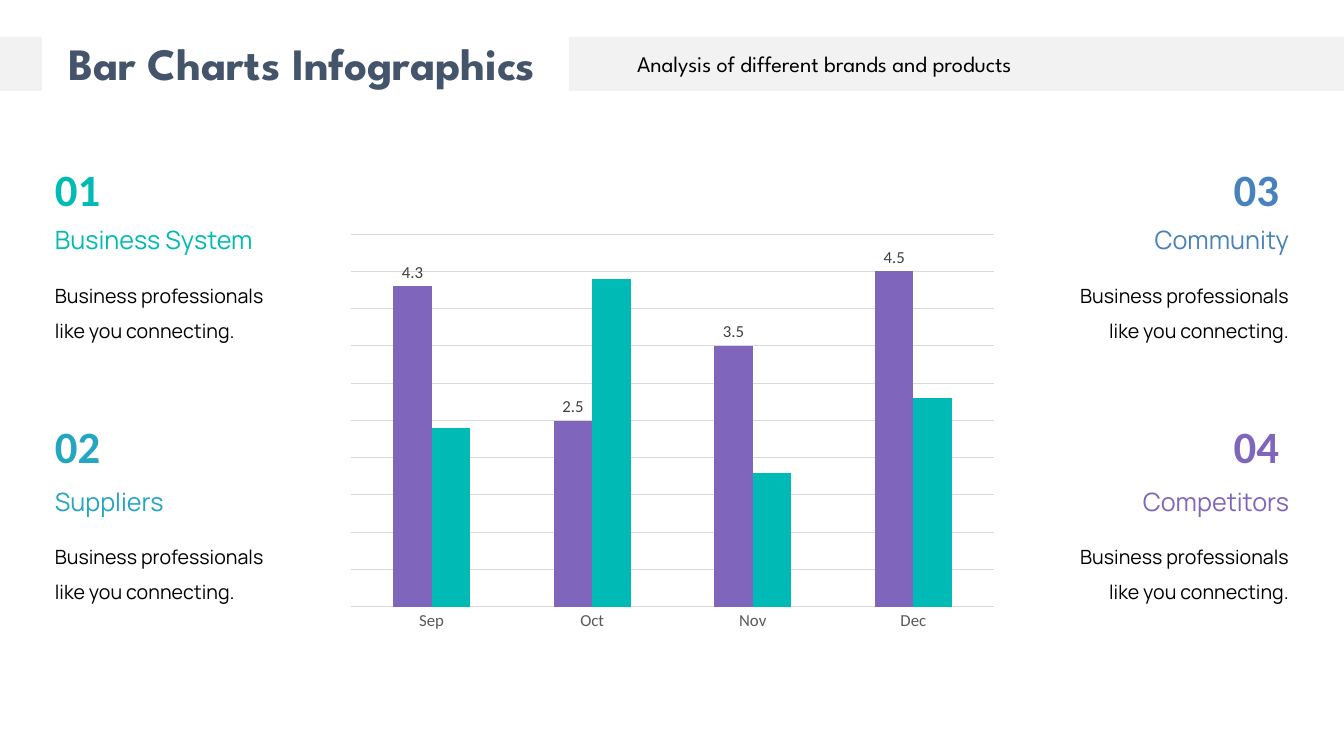
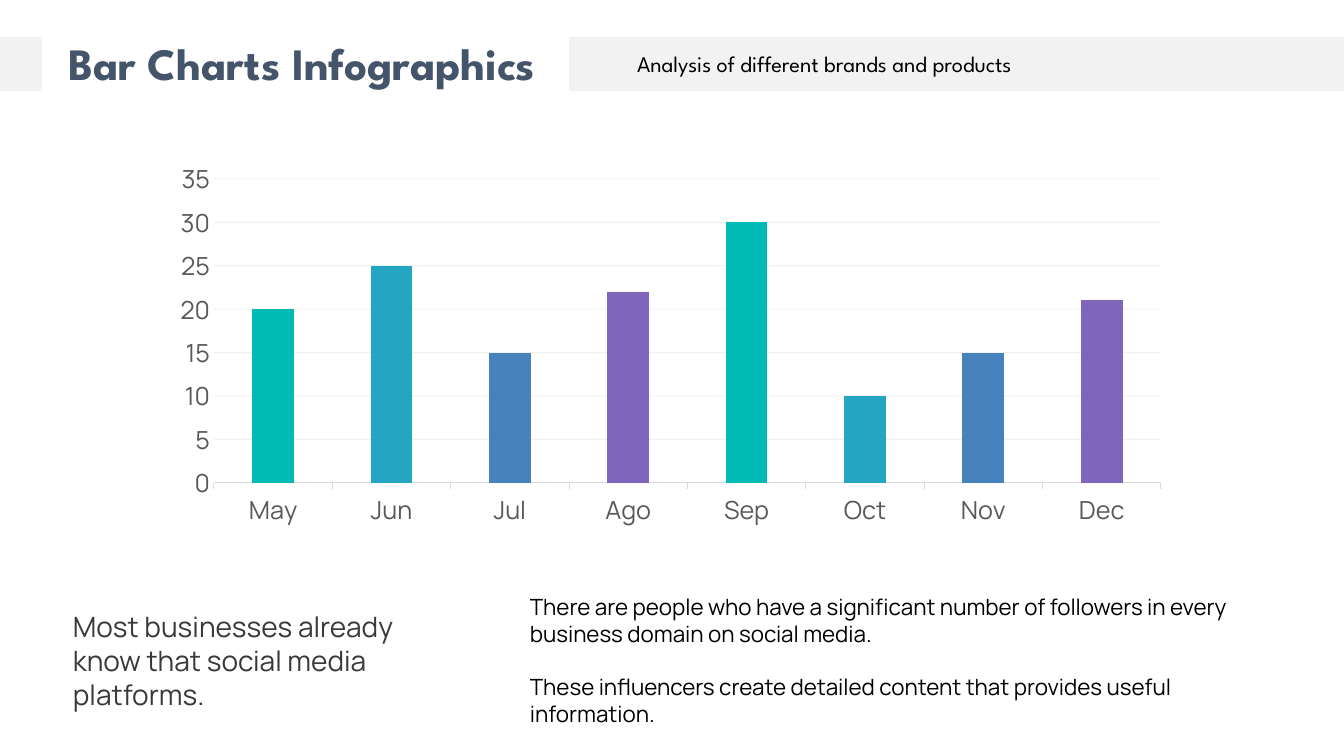
"""Build two bar chart infographic slides."""
from lxml import etree
from pptx import Presentation
from pptx.chart.data import CategoryChartData
from pptx.dml.color import RGBColor
from pptx.enum.chart import XL_CHART_TYPE as CT, XL_LABEL_POSITION as LP, XL_TICK_MARK as TICK
from pptx.enum.shapes import MSO_SHAPE as SHAPE
from pptx.enum.text import MSO_AUTO_SIZE as FIT, PP_ALIGN as AL
from pptx.oxml.ns import qn
from pptx.util import Emu, Pt

PX = 914400 / 100.8
WIDTH, HEIGHT = 1344, 756

TEAL, CYAN, BLUE, PURPLE = "00BAB5", "24A5C1", "4782BD", "7F65BB"
BLACK, BAND, NAVY, CHARCOAL = "000000", "F2F2F2", "44546A", "3B3838"
AXIS_TEXT, AXIS_LINE, LABEL_TEXT = "595959", "D9D9D9", "404040"
SPARTAN, MANROPE, CALIBRI = "League Spartan", "Manrope", "Calibri"

TITLE = "Bar Charts Infographics"
SUBTITLE = "Analysis of different brands and products"
BANDS = [(569, 37, 775, 54), (0, 37, 42, 54)]

CARD_BODY = "Business professionals like you connecting."
CARDS = [
    ("01", "Business System", TEAL),
    ("02", "Suppliers", CYAN),
    ("03", "Community", BLUE),
    ("04", "Competitors", PURPLE),
]
CARD_COLUMNS = [(45, 45, AL.LEFT), (1054, 1209, AL.RIGHT)]
CARD_ROWS = [(157, 219, 267), (414, 481, 528)]
CARD_WIDTH, NUMBER_WIDTH = 245, 80

PAIRED = {
    "box": (338, 226, 669, 413),
    "cats": ["Sep", "Oct", "Nov", "Dec"],
    "series": [("Series 1", [4.3, 2.5, 3.5, 4.5], PURPLE),
               ("Series 2", [2.4, 4.4, 1.8, 2.8], TEAL)],
    "gap": 219, "overlap": 0, "top": 5, "step": 0.5,
    "font": CALIBRI, "size": 12, "tick": TICK.NONE, "grid": AXIS_LINE,
}
MONTHLY = {
    "box": (171, 147, 1000, 380),
    "cats": ["May", "Jun", "Jul", "Ago", "Sep", "Oct", "Nov", "Dec"],
    "series": [("Series 1", [20, 25, 15, 22, 30, 10, 15, 21], "4472C4")],
    "gap": 184, "overlap": -100, "top": 35, "step": 5,
    "font": MANROPE, "size": 18, "tick": TICK.OUTSIDE, "grid": BLACK,
}
MONTHLY_PLOT = {"x": 0.043, "y": 0.085, "w": 0.947, "h": 0.807}
POINT_COLORS = [TEAL, CYAN, BLUE, PURPLE]
GRID_ALPHA = 5

LEAD = "Most businesses already know that social media platforms."
DETAILS = [
    "There are people who have a significant number of followers in every "
    "business domain on social media.",
    "These influencers create detailed content that provides useful information.",
]


def rgb(value):
    return RGBColor.from_string(value)


def emu(box):
    return [Emu(round(n * PX)) for n in box]


def set_fill(target, color):
    target.fill.solid()
    target.fill.fore_color.rgb = rgb(color)


def set_line(line, color):
    line.color.rgb = rgb(color)
    line.width = Pt(0.75)


def set_font(font, name, size, color, bold=False):
    font.name, font.size, font.bold = name, Pt(size), bold
    font.color.rgb = rgb(color)


def add_text(s, box, lines, name, size, color, bold=False, align=AL.LEFT,
             spacing=None, gap=0):
    tf = s.shapes.add_textbox(*emu(box)).text_frame
    tf.word_wrap = True
    tf.auto_size = FIT.SHAPE_TO_FIT_TEXT
    for i, line in enumerate(lines):
        p = tf.add_paragraph() if i else tf.paragraphs[0]
        p.text = line
        p.alignment = align
        if spacing:
            p.line_spacing = spacing
        if i and gap:
            p.space_before = Pt(gap)
        for r in p.runs:
            set_font(r.font, name, size, color, bold)


def add_slide(prs):
    s = prs.slides.add_slide(prs.slide_layouts[6])
    for box in BANDS:
        sp = s.shapes.add_shape(SHAPE.RECTANGLE, *emu(box))
        sp.shadow.inherit = False
        set_fill(sp, BAND)
        sp.line.fill.background()
    add_text(s, (24, 31, 556, 64), [TITLE], SPARTAN, 32, NAVY, True, AL.CENTER)
    add_text(s, (581, 45, 487, 37), [SUBTITLE], SPARTAN, 16, BLACK, align=AL.CENTER)
    return s


def add_columns(s, info):
    data = CategoryChartData()
    data.categories = info["cats"]
    for name, values, _ in info["series"]:
        data.add_series(name, values)
    chart = s.shapes.add_chart(CT.COLUMN_CLUSTERED, *emu(info["box"]), data).chart
    chart.has_title = chart.has_legend = False
    set_font(chart.font, info["font"], info["size"], BLACK)
    plot = chart.plots[0]
    plot.vary_by_categories = False
    plot.gap_width, plot.overlap = info["gap"], info["overlap"]
    for series, (_, _, color) in zip(plot.series, info["series"]):
        set_fill(series.format, color)

    cat, val = chart.category_axis, chart.value_axis
    for axis in (cat, val):
        set_font(axis.tick_labels.font, info["font"], info["size"], AXIS_TEXT)
        axis.minor_tick_mark = TICK.NONE
    cat.major_tick_mark, val.major_tick_mark = info["tick"], TICK.NONE
    set_line(cat.format.line, AXIS_LINE)
    val.format.line.fill.background()
    val.minimum_scale, val.maximum_scale = 0, info["top"]
    val.major_unit = info["step"]
    val.has_major_gridlines = True
    set_line(val.major_gridlines.format.line, info["grid"])
    return chart


def fade_gridlines(chart, percent):
    grid = chart._chartSpace.find(".//" + qn("c:majorGridlines"))
    color = grid.find(".//" + qn("a:srgbClr"))
    etree.SubElement(color, qn("a:alpha")).set("val", str(percent * 1000))


def place_plot(chart, fractions):
    area = chart._chartSpace.find(".//" + qn("c:plotArea"))
    for old in area.findall(qn("c:layout")):
        area.remove(old)
    layout = etree.Element(qn("c:layout"))
    area.insert(0, layout)
    manual = etree.SubElement(layout, qn("c:manualLayout"))
    settings = {"layoutTarget": "inner", "xMode": "edge", "yMode": "edge", **fractions}
    for tag, value in settings.items():
        etree.SubElement(manual, qn("c:" + tag)).set("val", str(value))


def build_paired(prs):
    s = add_slide(prs)
    chart = add_columns(s, PAIRED)
    chart.value_axis.visible = False
    labels = chart.plots[0].series[0].data_labels
    labels.show_value = True
    labels.position = LP.OUTSIDE_END
    set_font(labels.font, CALIBRI, 12, LABEL_TEXT)
    for i, (number, heading, color) in enumerate(CARDS):
        left, number_left, align = CARD_COLUMNS[i // 2]
        number_top, heading_top, body_top = CARD_ROWS[i % 2]
        add_text(s, (number_left, number_top, NUMBER_WIDTH, 64), [number],
                 CALIBRI, 32, color, True, align)
        add_text(s, (left, heading_top, CARD_WIDTH, 40), [heading],
                 MANROPE, 18, color, align=align)
        add_text(s, (left, body_top, CARD_WIDTH, 79), [CARD_BODY],
                 MANROPE, 14, BLACK, align=align, spacing=1.5)


def build_monthly(prs):
    s = add_slide(prs)
    chart = add_columns(s, MONTHLY)
    place_plot(chart, MONTHLY_PLOT)
    fade_gridlines(chart, GRID_ALPHA)
    series = chart.plots[0].series[0]
    for i in range(len(MONTHLY["cats"])):
        set_fill(series.points[i].format, POINT_COLORS[i % len(POINT_COLORS)])
    add_text(s, (63, 605, 407, 112), [LEAD], MANROPE, 20, CHARCOAL)
    add_text(s, (520, 588, 775, 146), DETAILS, MANROPE, 16, BLACK, gap=19)


def main():
    prs = Presentation()
    prs.slide_width, prs.slide_height = emu((WIDTH, HEIGHT))
    build_paired(prs)
    build_monthly(prs)
    prs.save("out.pptx")


if __name__ == "__main__":
    main()
